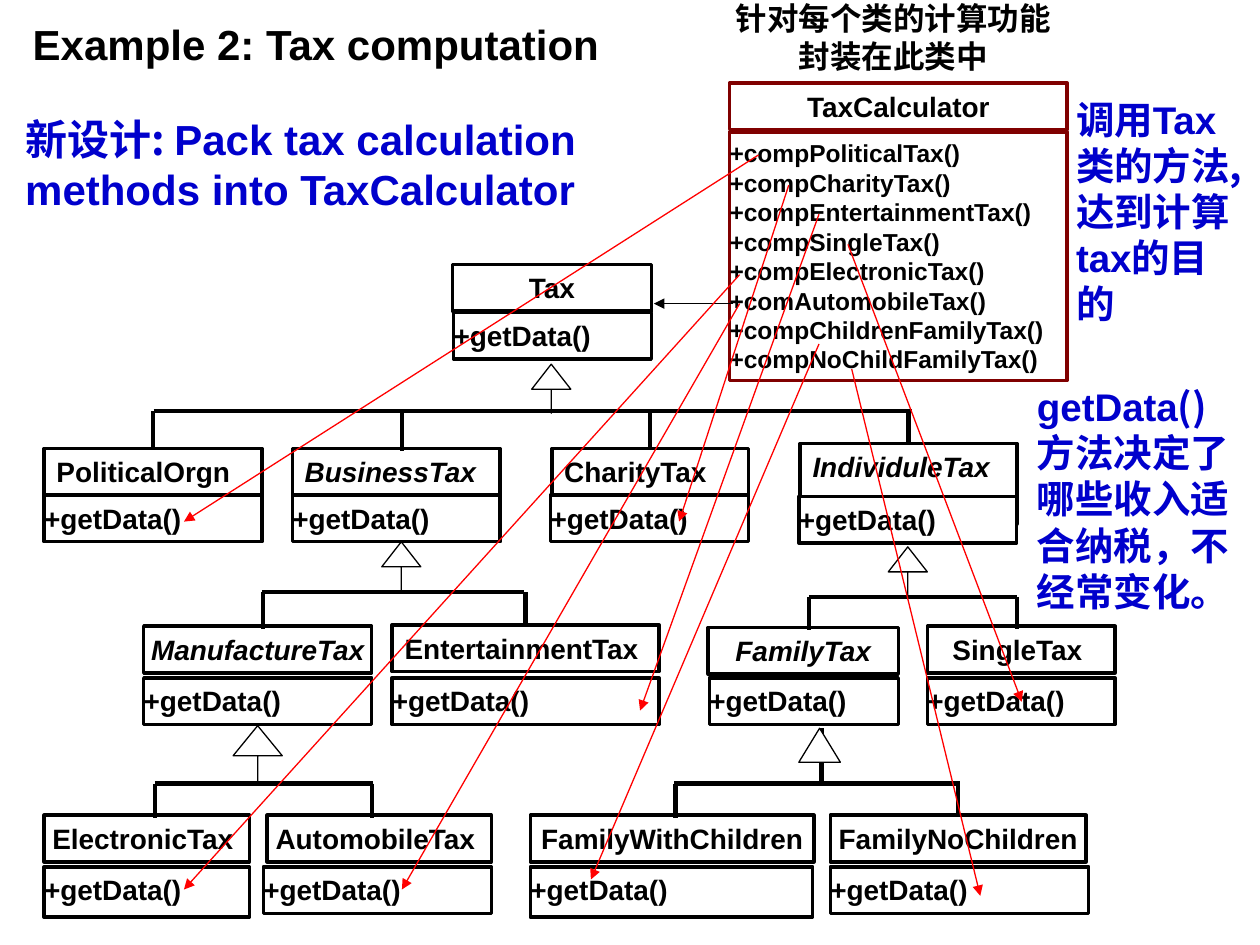
from lxml import etree
from pptx import Presentation
from pptx import util as u
from pptx.dml.color import RGBColor
from pptx.enum import shapes, text
from pptx.oxml import ns

COLORS = {"black": "000000", "white": "FFFFFF", "blue": "0000CC",
          "maroon": "800000", "red": "FF0000"}
LATIN, CJK = "Arial", "Noto Sans CJK SC"
LEFT, CENTER = text.PP_ALIGN.LEFT, text.PP_ALIGN.CENTER


def write(sp, paragraphs, size=16, color="black", italic=False, align=LEFT,
          inset=(0, 0), spacing=None):
    tf = sp.text_frame
    tf.word_wrap = True
    tf.auto_size = text.MSO_AUTO_SIZE.NONE
    tf.vertical_anchor = text.MSO_ANCHOR.TOP
    tf.margin_left = tf.margin_right = u.Inches(inset[0])
    tf.margin_top = tf.margin_bottom = u.Inches(inset[1])
    for i, runs in enumerate(paragraphs):
        p = tf.add_paragraph() if i else tf.paragraphs[0]
        p.alignment = align
        p.space_before = u.Pt(0)
        if spacing:
            p.line_spacing = u.Pt(spacing)
        for words in runs:
            r = p.add_run()
            r.text = words
            r.font.name = LATIN if words.isascii() else CJK
            r.font.size = u.Pt(size)
            r.font.bold = True
            r.font.italic = italic
            r.font.color.rgb = RGBColor.from_string(COLORS[color])
            ea = etree.SubElement(r.font._element, ns.qn("a:ea"))
            ea.set("typeface", r.font.name)


def connect(x1, y1, x2, y2, color="black", width=0.75, arrow=False):
    c = s.shapes.add_connector(shapes.MSO_CONNECTOR.STRAIGHT,
                               *map(u.Inches, (x1, y1, x2, y2)))
    c.line.color.rgb = RGBColor.from_string(COLORS[color])
    c.line.width = u.Pt(width)
    if arrow:
        etree.SubElement(c.line._get_or_add_ln(), ns.qn("a:tailEnd"), type="triangle")
    etree.SubElement(c._element.spPr, ns.qn("a:effectLst"))
    return c


prs = Presentation()
prs.slide_width, prs.slide_height = u.Inches(10), u.Inches(7.5)
s = prs.slides.add_slide(prs.slide_layouts[1])

title, body = s.placeholders
title.left, title.top, title.width, title.height = map(u.Inches, (0.16, 0.1, 4.76, 0.5))
write(title, [["Example 2: Tax computation"]], size=24, inset=(0.1, 0.05))
body.left, body.top, body.width, body.height = map(u.Inches, (0.2, 0.9, 4.8, 0.8))
write(body, [["新设计: ", "Pack tax calculation methods into TaxCalculator"]],
      size=24, color="blue", spacing=28.8)
pPr = body.text_frame.paragraphs[0]._p.get_or_add_pPr()
pPr.set("marL", "0")
pPr.set("indent", "0")
etree.SubElement(pPr, ns.qn("a:buNone"))

GET = ["+getData()"]
CALC = ["+compPoliticalTax()", "+compCharityTax()", "+compEntertainmentTax()",
        "+compSingleTax()", "+compElectronicTax()", "+comAutomobileTax()",
        "+compChildrenFamilyTax()", "+compNoChildFamilyTax()"]
ABSTRACT = {"BusinessTax", "IndividuleTax", "FamilyTax", "ManufactureTax"}
LEFT_NAMES = {"PoliticalOrgn", "BusinessTax", "CharityTax", "IndividuleTax"}
H = 0.37
classes = [
    ("TaxCalculator", (5.79, 0.66, 2.68, H), (5.79, 1.05, 2.68, 1.97), CALC),
    ("Tax", (3.59, 2.1, 1.58, H), (3.6, 2.48, 1.57, H), GET),
    ("PoliticalOrgn", (0.35, 3.56, 1.73, H), (0.35, 3.93, 1.73, H), GET),
    ("BusinessTax", (2.32, 3.56, 1.65, H), (2.32, 3.93, 1.65, H), GET),
    ("CharityTax", (4.38, 3.56, 1.56, H), (4.37, 3.93, 1.57, H), GET),
    ("IndividuleTax", (6.35, 3.52, 1.72, 0.64), (6.34, 3.94, 1.73, H), GET),
    ("ManufactureTax", (1.14, 4.97, 1.81, H), (1.14, 5.38, 1.81, H), GET),
    ("EntertainmentTax ", (3.11, 4.96, 2.12, H), (3.11, 5.38, 2.12, H), GET),
    ("FamilyTax", (5.62, 4.98, 1.51, H), (5.63, 5.38, 1.5, H), GET),
    ("SingleTax ", (7.36, 4.97, 1.49, H), (7.36, 5.38, 1.49, H), GET),
    ("ElectronicTax ", (0.35, 6.47, 1.63, H), (0.35, 6.88, 1.63, 0.4), GET),
    ("AutomobileTax ", (2.12, 6.47, 1.78, H), (2.09, 6.88, 1.81, H), GET),
    ("FamilyWithChildren", (4.21, 6.47, 2.25, H), (4.21, 6.88, 2.24, 0.4), GET),
    ("FamilyNoChildren", (6.59, 6.47, 2.03, H), (6.59, 6.88, 2.05, H), GET),
]
heads = {}
for name, head_box, method_box, methods in classes:
    for box, lines in ((head_box, [name]), (method_box, methods)):
        sp = s.shapes.add_shape(shapes.MSO_SHAPE.RECTANGLE, *map(u.Inches, box))
        sp.shadow.inherit = False
        sp.fill.solid()
        sp.fill.fore_color.rgb = RGBColor.from_string(COLORS["white"])
        edge = "maroon" if methods is CALC else "black"
        sp.line.color.rgb = RGBColor.from_string(COLORS[edge])
        sp.line.width = u.Pt(2)
        is_head = box is head_box
        centered = is_head and name not in LEFT_NAMES
        write(sp, [[line] for line in lines], size=14 if lines is CALC else 16,
              italic=is_head and name in ABSTRACT,
              align=CENTER if centered else LEFT,
              inset=(0.1 if is_head and not centered else 0, 0.05))
        if is_head:
            heads[name] = sp

buses = [
    (1.22, 7.24, 3.26, [("PoliticalOrgn", None), ("BusinessTax", 3.19),
                        ("CharityTax", None), ("IndividuleTax", None)]),
    (2.08, 4.16, 4.7, [("ManufactureTax", 2.09), ("EntertainmentTax ", None)]),
    (6.42, 8.07, 4.74, [("FamilyTax", 6.42), ("SingleTax ", 8.07)]),
    (1.23, 2.96, 6.22, [("ElectronicTax ", 1.23), ("AutomobileTax ", 2.95)]),
    (5.35, 7.62, 6.22, [("FamilyWithChildren", 5.36), ("FamilyNoChildren", None)]),
]
for x1, x2, y, drops in buses:
    connect(x1, y, x2, y, width=2.5)
    for name, x in drops:
        sp = heads[name]
        if x:
            connect(x, y, x, sp.top.inches + 0.02, width=2.5)
        else:
            mid = sp.left.inches + sp.width.inches / 2
            connect(mid, y, mid, sp.top.inches, width=2.5).end_connect(sp, 0)
connect(6.52, 5.78, 6.52, 6.22, width=2.5)

UP, TRIANGLE = shapes.MSO_SHAPE.UP_ARROW, shapes.MSO_SHAPE.ISOSCELES_TRIANGLE
for kind, box, adjust in [
    (UP, (4.22, 2.89, 0.31, 0.39), (0, 0.641)),
    (UP, (3.03, 4.3, 0.31, 0.39), (0, 0.641)),
    (UP, (7.05, 4.34, 0.31, 0.39), (0, 0.641)),
    (UP, (1.85, 5.76, 0.39, 0.47), (0, 0.612)),
    (TRIANGLE, (6.34, 5.78, 0.33, 0.27), (0.5,)),
]:
    sp = s.shapes.add_shape(kind, *map(u.Inches, box))
    for i, value in enumerate(adjust):
        sp.adjustments[i] = value
    sp.shadow.inherit = False
    sp.fill.solid()
    sp.fill.fore_color.rgb = RGBColor.from_string(COLORS["white"])
    sp.line.color.rgb = RGBColor.from_string(COLORS["black"])
    sp.line.width = u.Pt(0.75)

connect(5.82, 2.41, 5.19, 2.41, arrow=True)
for ends in [
    (6.02, 1.23, 1.46, 4.14), (6.26, 1.47, 5.39, 4.14),
    (6.5, 1.7, 5.08, 5.64), (6.73, 1.94, 8.11, 5.57),
    (5.87, 2.18, 1.46, 7.06), (5.87, 2.41, 3.19, 7.06),
    (6.5, 2.73, 4.69, 6.98), (6.76, 2.93, 7.78, 7.11),
]:
    connect(*ends, color="red", arrow=True)

for box, paragraphs, size, color, align in [
    ((5.79, -0.01, 2.6, 0.6), [["针对每个类的计算功能封装在此类中"]], 18, "black", CENTER),
    ((8.54, 0.76, 1.34, 2.2),
     [["调用", "Tax"], ["类的方法,"], ["达到计算"], ["tax", "的目的"]], 22, "blue", LEFT),
    ((8.23, 3.04, 1.65, 1.83),
     [["getData", "()方法决定了哪些收入适合纳税，不经常变化。"]], 22, "blue", LEFT),
]:
    sp = s.shapes.add_textbox(*map(u.Inches, box))
    write(sp, paragraphs, size=size, color=color, align=align, spacing=size * 1.2)

prs.save("out.pptx")
